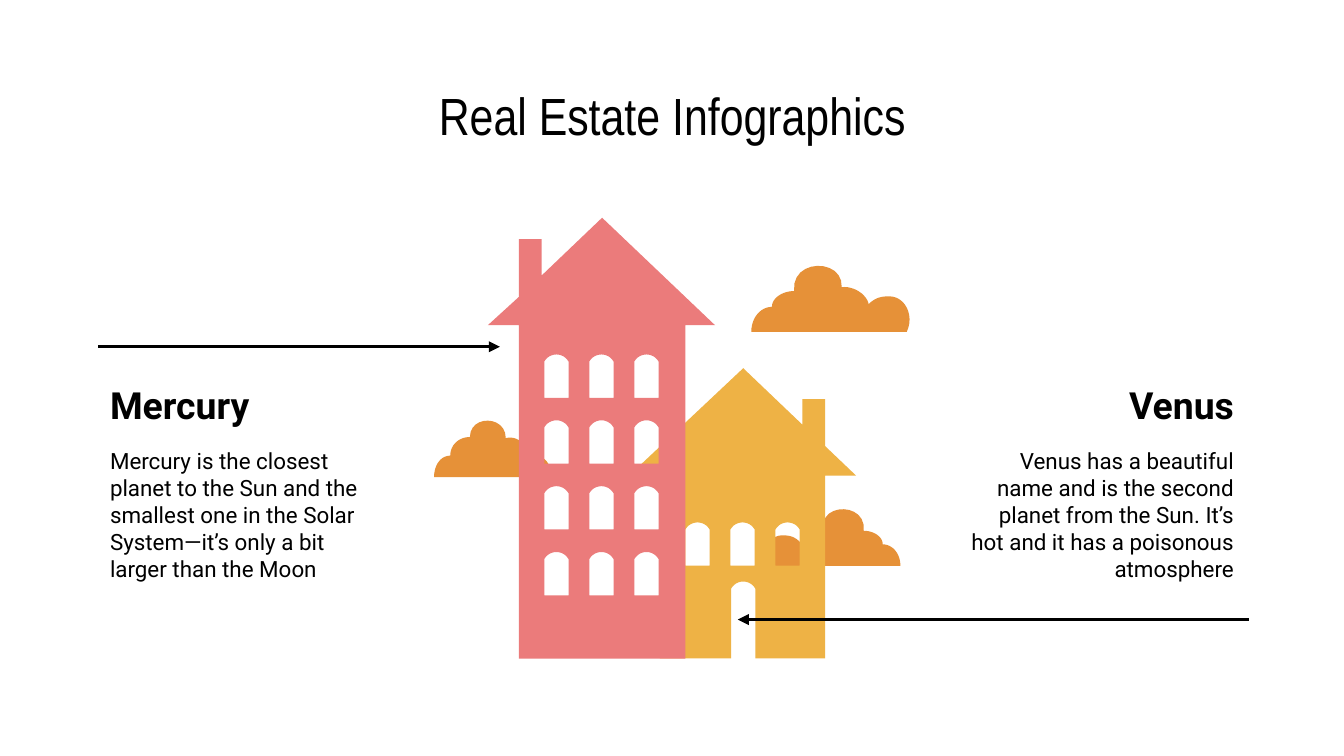
"""Build the real estate infographic slide with two houses, clouds and captions."""
from itertools import product

from lxml import etree
from pptx import Presentation
from pptx.dml.color import RGBColor
from pptx.enum.shapes import MSO_CONNECTOR
from pptx.enum.text import MSO_ANCHOR, PP_ALIGN
from pptx.oxml.ns import qn
from pptx.util import Inches, Pt

STRAIGHT = MSO_CONNECTOR.STRAIGHT
LEFT, CENTER, RIGHT = PP_ALIGN.LEFT, PP_ALIGN.CENTER, PP_ALIGN.RIGHT
TOP, MIDDLE = MSO_ANCHOR.TOP, MSO_ANCHOR.MIDDLE

PAGE_WIDTH = 10
PAGE_HEIGHT = PAGE_WIDTH * 9 / 16
COLORS = {"ink": "000000", "cloud": "E69138", "yellow": "EEB245", "pink": "EB7B7B"}
TITLE = "Real Estate Infographics"
TITLE_WIDTH = 3.75
CAPTIONS = [
    ("Mercury", "Mercury is the closest planet to the Sun and the smallest one in the "
     "Solar System—it’s only a bit larger than the Moon", 0.72, LEFT),
    ("Venus", "Venus has a beautiful name and is the second planet from the Sun. "
     "It’s hot and it has a poisonous atmosphere", 7.07, RIGHT),
]
ARROWS = [(0.73, 3.72, 2.58), (9.29, 5.49, 4.61)]

CLOUD_START = (0, 1)
ROUND_CLOUD = [
    ((0, 0.78), (0.06, 0.62), (0.14, 0.62)),
    ((0.14, 0.42), (0.22, 0.29), (0.31, 0.29)),
    ((0.31, -0.1), (0.62, -0.1), (0.62, 0.31)),
    ((0.72, 0.26), (0.8, 0.42), (0.82, 0.6)),
    ((0.95, 0.58), (1.04, 0.8), (0.99, 1)),
]
LONG_CLOUD = [
    ((0, 0.78), (0.06, 0.62), (0.13, 0.62)),
    ((0.13, 0.48), (0.2, 0.38), (0.27, 0.38)),
    ((0.25, -0.12), (0.58, -0.12), (0.57, 0.32)),
    ((0.65, 0.3), (0.73, 0.44), (0.74, 0.58)),
    ((0.78, 0.48), (0.82, 0.46), (0.87, 0.46)),
    ((0.97, 0.46), (1.03, 0.75), (0.98, 1)),
]
CLOUDS = [
    (ROUND_CLOUD, 3.23, 3.13, 0.86, 0.42, False),
    (LONG_CLOUD, 5.69, 3.79, 1.01, 0.42, True),
    (LONG_CLOUD, 5.59, 1.98, 1.18, 0.49, False),
]

OPENING_WIDTH, WINDOW_HEIGHT, ARCH_RISE = 0.18, 0.27, 0.07
COLUMN_STEP, FLOOR_STEP = 0.335, 0.49
DOOR = (5.44, 4.38, 0.52)
YELLOW_LEFT = [(4.68, 3.54), (4.91, 3.54), (4.91, 4.9)]
YELLOW_RIGHT = [(6.14, 4.9), (6.14, 3.54), (6.37, 3.54), (6.14, 3.32), (6.14, 2.97),
                (5.97, 2.97), (5.97, 3.16), (5.53, 2.74)]
PINK_WALLS = [(3.63, 2.42), (3.86, 2.42), (3.86, 4.9), (5.1, 4.9), (5.1, 2.42),
              (5.32, 2.42), (4.48, 1.62), (4.03, 2.05), (4.03, 1.78), (3.86, 1.78),
              (3.86, 2.21)]


def curve_points(start, first, second, end, steps=12):
    """Return points along a cubic curve, without its start."""
    return [
        tuple((1 - t) ** 3 * a + 3 * (1 - t) ** 2 * t * b + 3 * (1 - t) * t * t * c + t ** 3 * d
              for a, b, c, d in zip(start, first, second, end))
        for t in (step / steps for step in range(1, steps + 1))
    ]


def opening(left, top, height):
    """Return the outline of an arched opening, from bottom left to bottom right."""
    right, peak, bottom = left + OPENING_WIDTH, top - ARCH_RISE, top + height
    arch = curve_points((left, top), (left + 0.04, peak), (right - 0.04, peak), (right, top))
    return [(left, bottom), (left, top), *arch, (right, bottom)]


def windows(left, top, floors):
    """Return three columns of windows on the given number of floors."""
    return [opening(left + column * COLUMN_STEP, top + floor * FLOOR_STEP, WINDOW_HEIGHT)
            for column, floor in product(range(3), range(floors))]


def cloud(curves, left, top, width, height, flipped):
    """Return the cloud outline fitted to a box."""
    points = [CLOUD_START]
    for curve in curves:
        points += curve_points(points[-1], *curve)
    return [(left + width * (1 - x if flipped else x), top + height * y) for x, y in points]


def add_outline(page, contours, color):
    """Draw contours as one filled shape; inner contours become holes."""
    contours = [[(Inches(x), Inches(y)) for x, y in contour] for contour in contours]
    builder = page.shapes.build_freeform(*contours[0][0])
    builder.add_line_segments(contours[0][1:])
    for hole in contours[1:]:
        builder.move_to(*hole[0])
        builder.add_line_segments(hole[1:])
    shape = builder.convert_to_shape()
    shape.shadow.inherit = False
    shape.fill.solid()
    shape.fill.fore_color.rgb = RGBColor.from_string(COLORS[color])
    shape.line.fill.background()


def add_text(page, text, place, size, font, align, anchor=MIDDLE, bold=False):
    """Add a wrapped text box with one run."""
    frame = page.shapes.add_textbox(*map(Inches, place)).text_frame
    frame.word_wrap = True
    frame.vertical_anchor = anchor
    frame.margin_left = frame.margin_right = Inches(0.1)
    frame.margin_top = frame.margin_bottom = Inches(0.1)
    para = frame.paragraphs[0]
    para.alignment = align
    span = para.add_run()
    span.text = text
    span.font.size, span.font.name, span.font.bold = Pt(size), font, bold
    span.font.color.rgb = RGBColor.from_string(COLORS["ink"])


def add_arrow(page, start, end, height):
    """Add a horizontal arrow."""
    arrow = page.shapes.add_connector(
        STRAIGHT, Inches(start), Inches(height), Inches(end), Inches(height))
    arrow.line.color.rgb = RGBColor.from_string(COLORS["ink"])
    arrow.line.width = Pt(1.5)
    etree.SubElement(arrow.line._get_or_add_ln(), qn("a:tailEnd"), type="triangle")
    etree.SubElement(arrow._element.spPr, qn("a:effectLst"))


def main():
    """Assemble and save the deck."""
    deck = Presentation()
    deck.slide_width, deck.slide_height = Inches(PAGE_WIDTH), Inches(PAGE_HEIGHT)
    page = deck.slides.add_slide(deck.slide_layouts[6])
    title_left = (PAGE_WIDTH - TITLE_WIDTH) / 2
    add_text(page, TITLE, (title_left, 0.59, TITLE_WIDTH, 0.53), 28, "Arial Narrow", CENTER)
    for shape in CLOUDS:
        add_outline(page, [cloud(*shape)], "cloud")
    yellow_walls = YELLOW_LEFT + opening(*DOOR) + YELLOW_RIGHT
    add_outline(page, [yellow_walls, *windows(5.1, 3.94, 1)], "yellow")
    add_outline(page, [PINK_WALLS, *windows(4.05, 2.69, 4)], "pink")
    for heading, body, left, align in CAPTIONS:
        add_text(page, heading, (left, 2.76, 2.21, 0.5), 20, "Roboto", align, bold=True)
        add_text(page, body, (left, 3.23, 2.21, 1.16), 12, "Roboto", align, TOP)
    for arrow in ARROWS:
        add_arrow(page, *arrow)
    deck.save("out.pptx")


if __name__ == "__main__":
    main()
